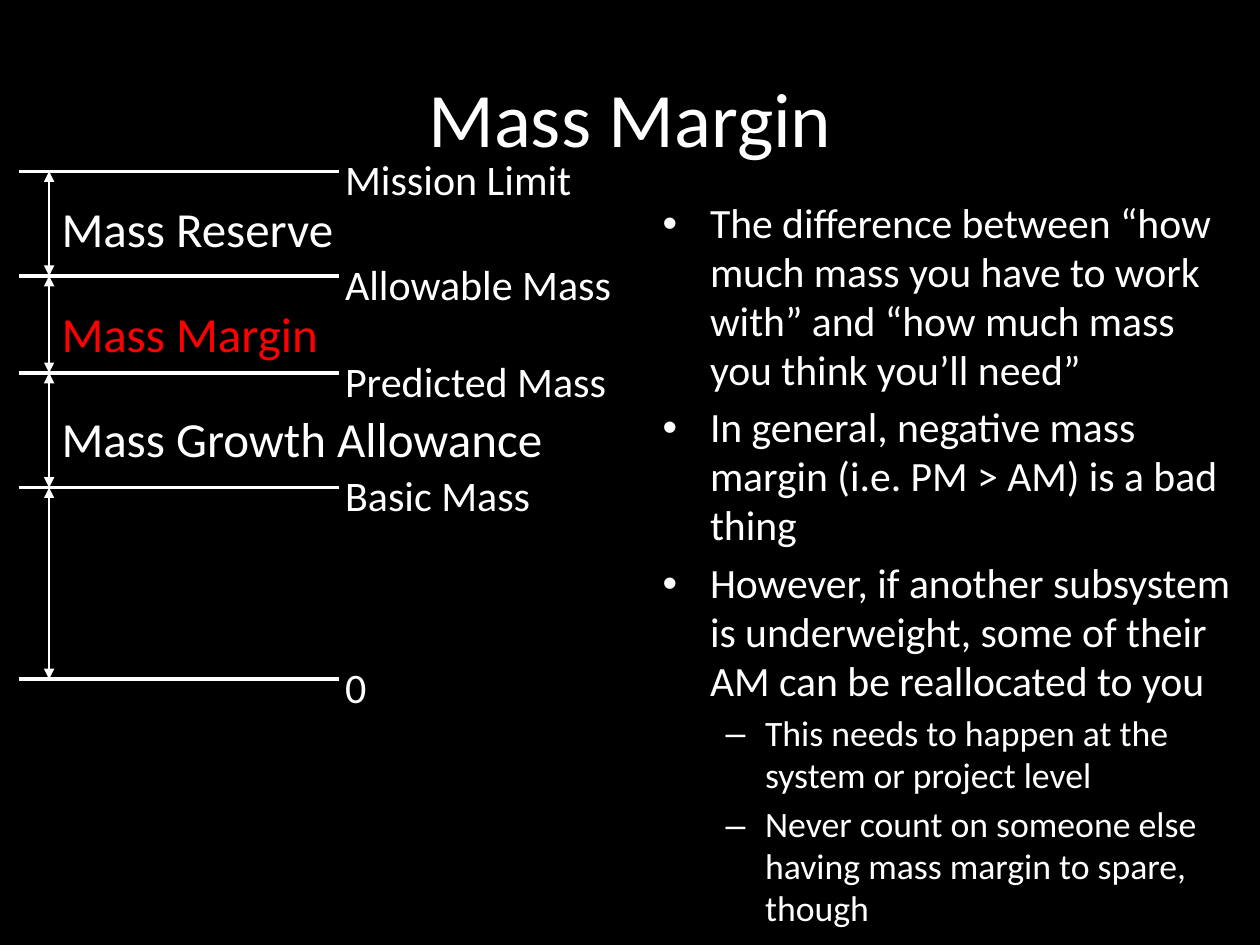
from dataclasses import dataclass
from itertools import pairwise

from lxml import etree
from pptx import Presentation
from pptx.dml.color import RGBColor
from pptx.enum import shapes, text
from pptx.oxml import ns
from pptx.util import Inches, Pt


@dataclass(frozen=True)
class Theme:
    font: str = "Calibri"
    back: RGBColor = RGBColor(0, 0, 0)
    ink: RGBColor = RGBColor(255, 255, 255)
    alert: RGBColor = RGBColor(255, 0, 0)
    title: float = 44
    band: float = 28
    level: float = 24
    body: tuple = (23.8, 20.4)


THEME = Theme()

# Level name, height on the scale, label width
LEVELS = [
    ("Mission Limit", 1.36, 2.01),
    ("Allowable Mass", 2.19, 2.33),
    ("Predicted Mass", 2.96, 2.29),
    ("Basic Mass", 3.87, 1.68),
    ("0", 5.39, 0.36),
]
# Band name, label width, colour
BANDS = [
    ("Mass Reserve", 2.38, THEME.ink),
    ("Mass Margin", 2.26, THEME.alert),
    ("Mass Growth Allowance", 4.06, THEME.ink),
]
# Bullet level, wording
POINTS = [
    (0, "The difference between “how much mass you have to work with” "
        "and “how much mass you think you’ll need”"),
    (0, "In general, negative mass margin (i.e. PM > AM) is a bad thing"),
    (0, "However, if another subsystem is underweight, some of their AM "
        "can be reallocated to you"),
    (1, "This needs to happen at the system or project level"),
    (1, "Never count on someone else having mass margin to spare, though"),
]
LEFT, RIGHT, AXIS = 0.15, 2.69, 0.39


def write(para, words, *, size, color=THEME.ink, level=0, spacing=None):
    para.level = level
    if spacing:
        para.line_spacing = spacing
    run = para.add_run()
    run.text = words
    run.font.name = THEME.font
    run.font.size = Pt(size)
    run.font.color.rgb = color


def place(shape, left, top, width, height):
    shape.left, shape.top = Inches(left), Inches(top)
    shape.width, shape.height = Inches(width), Inches(height)
    shape.text_frame.auto_size = text.MSO_AUTO_SIZE.NONE
    return shape.text_frame


def label(parts, words, left, top, width, height, **style):
    box = parts.add_textbox(*map(Inches, (left, top, width, height)))
    frame = box.text_frame
    frame.word_wrap = False
    frame.auto_size = text.MSO_AUTO_SIZE.SHAPE_TO_FIT_TEXT
    write(frame.paragraphs[0], words, **style)


def rule(parts, start, end, width, arrows=False):
    line = parts.add_connector(
        shapes.MSO_CONNECTOR.STRAIGHT, *map(Inches, (*start, *end)))
    line.line.color.rgb = THEME.ink
    line.line.width = Pt(width)
    if arrows:
        for tag in ("a:headEnd", "a:tailEnd"):
            etree.SubElement(line.line._ln, ns.qn(tag), type="triangle")
    etree.SubElement(line._element.spPr, ns.qn("a:effectLst"))


def scale(parts):
    """Draw the mass levels, the spans between them and their names."""
    for name, y, width in LEVELS:
        rule(parts, (LEFT, y), (RIGHT, y), 2)
        label(parts, name, 2.64, y - 0.19, width, 0.5, size=THEME.level)
    for (_, top, _), (_, base, _) in pairwise(LEVELS):
        rule(parts, (AXIS, top), (AXIS, base), 1, arrows=True)
    for row, (name, width, color) in enumerate(BANDS):
        label(parts, name, AXIS, 1.53 + 0.83 * row, width, 0.57,
              size=THEME.band, color=color)


def bullets(frame):
    frame.margin_right = 0
    for row, (level, words) in enumerate(POINTS):
        para = frame.add_paragraph() if row else frame.paragraphs[0]
        write(para, words, size=THEME.body[level], level=level, spacing=0.98)


def main():
    deck = Presentation()
    deck.slide_width, deck.slide_height = Inches(10), Inches(7.5)
    slide = deck.slides.add_slide(deck.slide_layouts[1])
    slide.background.fill.solid()
    slide.background.fill.fore_color.rgb = THEME.back

    head = place(slide.shapes.title, 0.5, 0.3, 9, 1.25)
    write(head.paragraphs[0], "Mass Margin", size=THEME.title)
    bullets(place(slide.placeholders[1], 5.16, 1.53, 4.71, 5.84))
    scale(slide.shapes.add_group_shape().shapes)
    deck.save("out.pptx")


if __name__ == "__main__":
    main()
